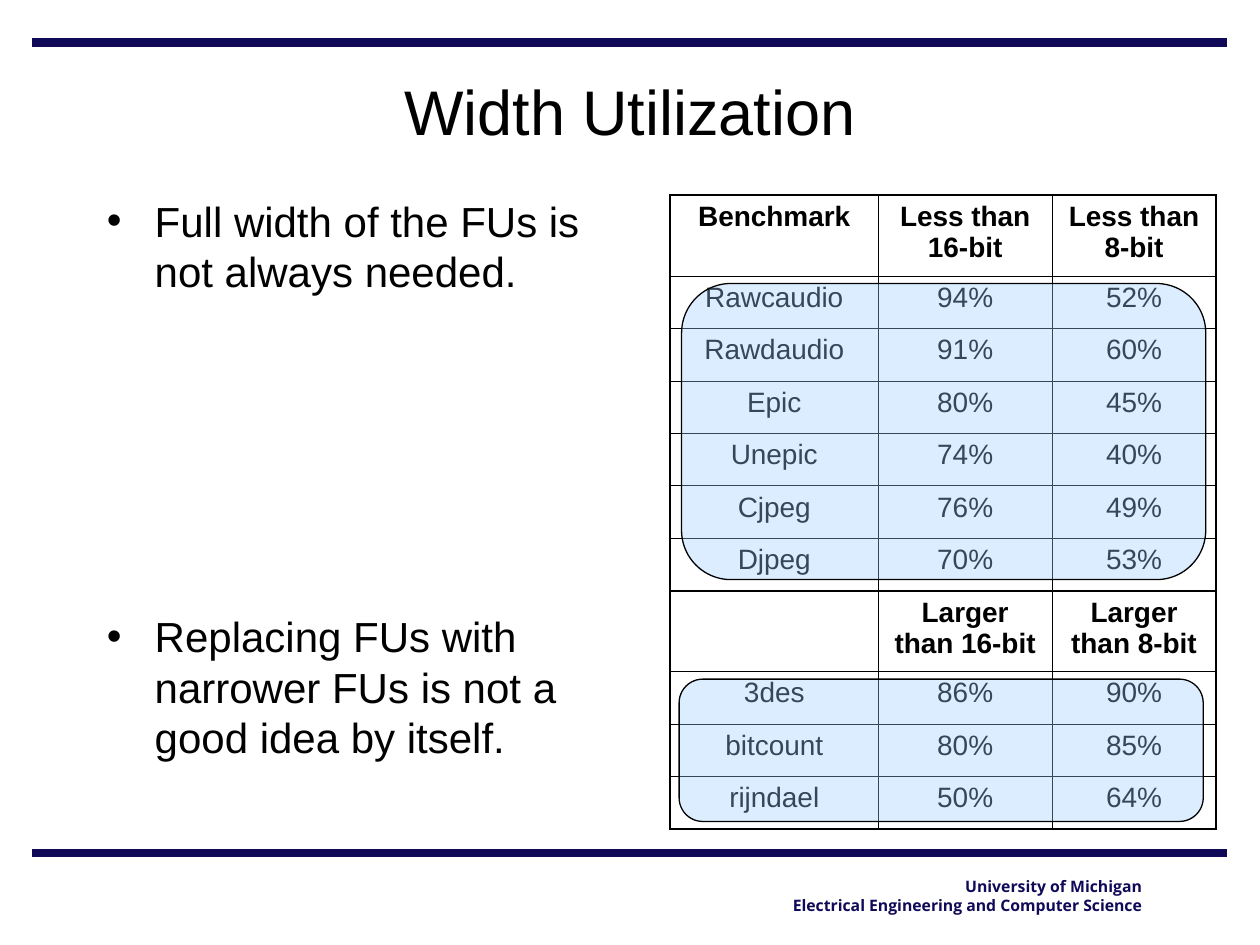
from dataclasses import dataclass

from lxml.etree import SubElement
from pptx import Presentation
from pptx.dml.color import RGBColor
from pptx.enum.shapes import MSO_CONNECTOR, MSO_SHAPE
from pptx.enum.text import MSO_ANCHOR, MSO_AUTO_SIZE, PP_ALIGN
from pptx.oxml.ns import qn
from pptx.util import Inches, Pt

COLORS = {"text": "000000", "navy": "0F0958", "highlight": "99CCFF"}
THIN, OUTER, DIVIDER = 0.45, 1.08, 1.47


@dataclass
class Box:
    left: float
    top: float
    width: float
    height: float

    def lengths(self) -> list:
        return [Inches(v) for v in (self.left, self.top, self.width, self.height)]


TABLE_BOX = Box(5.32, 1.55, 4.33, 5.03)
COLUMN_WIDTHS = [1.65, 1.38, 1.3]
HEADER_HEIGHT = 0.64
HEADER_ROWS = (0, 7)
ROWS = [
    ("Benchmark", "Less than 16-bit", "Less than 8-bit"),
    ("Rawcaudio", "94%", "52%"),
    ("Rawdaudio", "91%", "60%"),
    ("Epic", "80%", "45%"),
    ("Unepic", "74%", "40%"),
    ("Cjpeg", "76%", "49%"),
    ("Djpeg", "70%", "53%"),
    ("", "Larger than 16-bit", "Larger than 8-bit"),
    ("3des", "86%", "90%"),
    ("bitcount", "80%", "85%"),
    ("rijndael", "50%", "64%"),
]
HIGHLIGHTS = [Box(5.41, 2.25, 4.16, 2.35), Box(5.39, 5.39, 4.16, 1.13)]
RULE_TOPS = [0.34, 6.77]
FOOTER = ["University of Michigan", "Electrical Engineering and Computer Science"]
BULLETS = [
    ("Full width of the FUs is not always needed.", 0),
    ("Replacing FUs with narrower FUs is not a good idea by itself.", 180),
]


def rgb(name: str) -> RGBColor:
    return RGBColor.from_string(COLORS[name])


def write(p, text: str, size: float, font="Arial", color="text", bold=False,
          align=PP_ALIGN.LEFT, before=0, line=None) -> None:
    p.alignment = align
    p.space_before = Pt(before)
    if line:
        p.line_spacing = Pt(line)
    r = p.add_run()
    r.text = text
    r.font.name = font
    r.font.size = Pt(size)
    r.font.bold = bold
    r.font.color.rgb = rgb(color)


def add_text_frame(s, box: Box):
    tf = s.shapes.add_textbox(*box.lengths()).text_frame
    tf.word_wrap = True
    return tf


def paragraph(tf, index: int):
    return tf.add_paragraph() if index else tf.paragraphs[0]


def add_bullet(p) -> None:
    pPr = p._p.get_or_add_pPr()
    pPr.set("marL", str(Inches(0.38)))
    pPr.set("indent", str(Inches(-0.38)))
    SubElement(pPr, qn("a:buFont"), typeface="Arial")
    SubElement(pPr, qn("a:buChar"), char="•")


def add_rule(s, top: float) -> None:
    ln = s.shapes.add_connector(MSO_CONNECTOR.STRAIGHT, Inches(0.25), Inches(top),
                                Inches(9.74), Inches(top))
    ln.line.color.rgb = rgb("navy")
    ln.line.width = Pt(5)
    SubElement(ln._element.spPr, qn("a:effectLst"))


def set_borders(cell, widths: dict) -> None:
    tcPr = cell._tc.get_or_add_tcPr()
    for side, width in widths.items():
        ln = SubElement(tcPr, qn(f"a:ln{side}"), w=str(Pt(width)))
        fill = SubElement(ln, qn("a:solidFill"))
        SubElement(fill, qn("a:srgbClr"), val=COLORS["text"])


def row_edge(index: int) -> float:
    if index in (0, len(ROWS)):
        return OUTER
    return DIVIDER if index in HEADER_ROWS else THIN


def column_edge(index: int) -> float:
    return OUTER if index in (0, len(COLUMN_WIDTHS)) else THIN


def add_benchmark_table(s) -> None:
    table = s.shapes.add_table(len(ROWS), len(COLUMN_WIDTHS), *TABLE_BOX.lengths()).table
    table.first_row = table.horz_banding = False
    for column, width in zip(table.columns, COLUMN_WIDTHS):
        column.width = Inches(width)
    headers = len(HEADER_ROWS)
    body_height = (TABLE_BOX.height - headers * HEADER_HEIGHT) / (len(ROWS) - headers)
    for i, values in enumerate(ROWS):
        is_header = i in HEADER_ROWS
        table.rows[i].height = Inches(HEADER_HEIGHT if is_header else body_height)
        for j, value in enumerate(values):
            cell = table.cell(i, j)
            set_borders(cell, {"L": column_edge(j), "R": column_edge(j + 1),
                               "T": row_edge(i), "B": row_edge(i + 1)})
            cell.fill.background()
            if value:
                write(cell.text_frame.paragraphs[0], value, 16, bold=is_header,
                      align=PP_ALIGN.CENTER)


def add_highlight(s, box: Box) -> None:
    sp = s.shapes.add_shape(MSO_SHAPE.ROUNDED_RECTANGLE, *box.lengths())
    sp.shadow.inherit = False
    sp.fill.solid()
    sp.fill.fore_color.rgb = rgb("highlight")
    color = sp._element.spPr.find(qn("a:solidFill")).find(qn("a:srgbClr"))
    SubElement(color, qn("a:alpha"), val="35000")
    sp.line.color.rgb = rgb("text")
    sp.line.width = Pt(0.75)


def main() -> None:
    prs = Presentation()
    prs.slide_width, prs.slide_height = Inches(10), Inches(7.5)
    s = prs.slides.add_slide(prs.slide_layouts[5])

    for top in RULE_TOPS:
        add_rule(s, top)

    tf = add_text_frame(s, Box(6.11, 6.91, 3.05, 0.4))
    for i, text in enumerate(FOOTER):
        write(paragraph(tf, i), text, 9, font="Open Sans", color="navy", bold=True,
              align=PP_ALIGN.RIGHT)

    title = s.shapes.title
    title.left, title.top, title.width, title.height = Box(0.75, 0.42, 8.5, 0.91).lengths()
    title.text_frame.vertical_anchor = MSO_ANCHOR.MIDDLE
    title.text_frame.auto_size = MSO_AUTO_SIZE.NONE
    write(title.text_frame.paragraphs[0], "Width Utilization", 36, align=PP_ALIGN.CENTER)

    tf = add_text_frame(s, Box(0.75, 1.5, 4.17, 5.17))
    for i, (text, before) in enumerate(BULLETS):
        p = paragraph(tf, i)
        add_bullet(p)
        write(p, text, 24, before=before, line=28.8)

    add_benchmark_table(s)
    for box in HIGHLIGHTS:
        add_highlight(s, box)

    prs.save("out.pptx")


if __name__ == "__main__":
    main()
